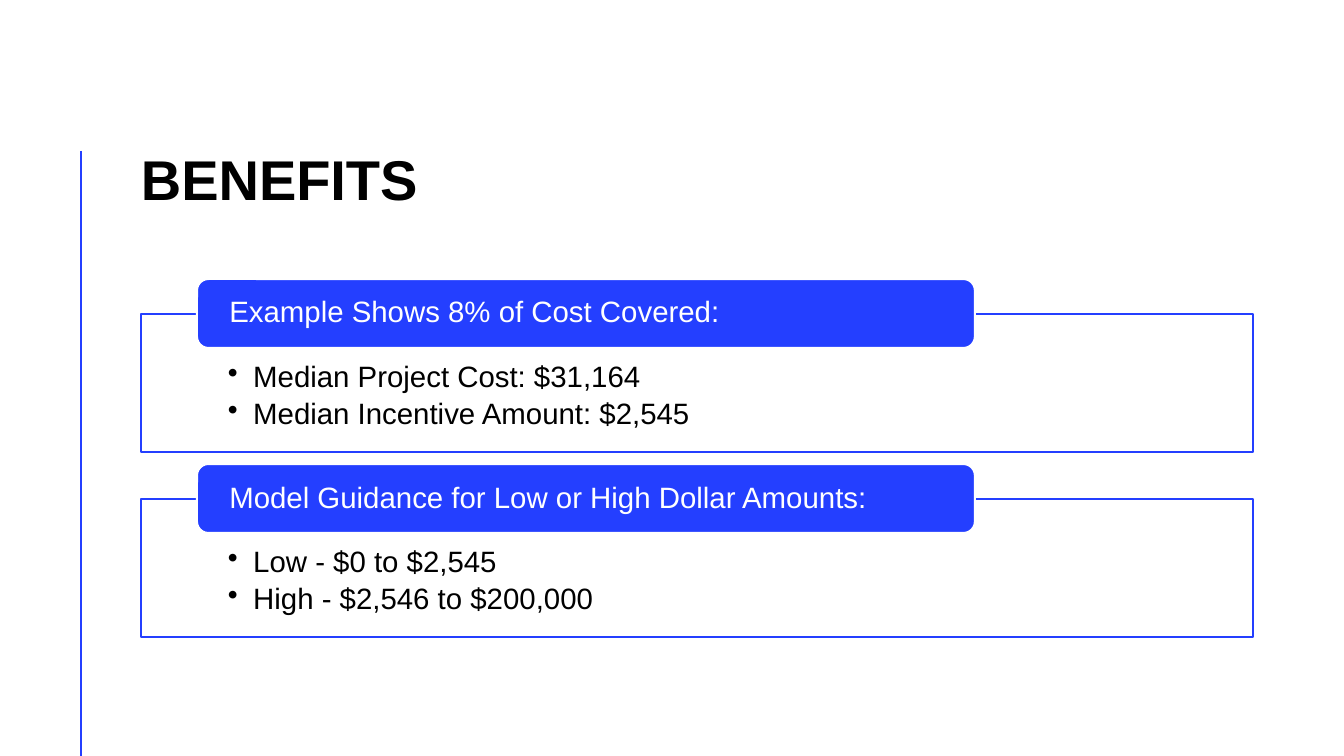
from lxml import etree
from pptx import Presentation
from pptx import util as u
from pptx.dml.color import RGBColor
from pptx.enum import shapes, text
from pptx.oxml import ns

SLIDE_WIDTH, SLIDE_HEIGHT = 1344, 756
EMU_PER_PX = 12192000 / SLIDE_WIDTH
BLUE, WHITE, BLACK = "243FFF", "FFFFFF", "000000"
LEFT, WIDTH = 141, 1112
FIRST_TOP, SECTION_PITCH = 314, 185

SECTIONS = [
    ("Example Shows 8% of Cost Covered:",
     ["Median Project Cost: $31,164", "Median Incentive Amount: $2,545"]),
    ("Model Guidance for Low or High Dollar Amounts:",
     ["Low - $0 to $2,545", "High - $2,546 to $200,000"]),
]


def px(*lengths):
    """Turn pixel lengths into EMU."""
    return [u.Emu(round(length * EMU_PER_PX)) for length in lengths]


def write(shape, lines, margins, anchor, size, color, spacing, bold=False, bullets=False):
    frame = shape.text_frame
    sides = ("margin_left", "margin_top", "margin_right", "margin_bottom")
    settings = dict(zip(sides, px(*margins)), word_wrap=True, vertical_anchor=anchor)
    for name, value in settings.items():
        setattr(frame, name, value)
    for number, line in enumerate(lines):
        para = frame.add_paragraph() if number else frame.paragraphs[0]
        para.alignment = text.PP_ALIGN.LEFT
        para.line_spacing = spacing
        if bullets:
            para.space_after = u.Pt(4)
            properties = para._p.get_or_add_pPr()
            properties.set("marL", str(u.Inches(0.25)))
            properties.set("indent", str(-u.Inches(0.25)))
            etree.SubElement(properties, ns.qn("a:buChar"), char="•")
        span = para.add_run()
        span.text = line
        for name, value in {"name": "Arial", "size": u.Pt(size), "bold": bold}.items():
            setattr(span.font, name, value)
        span.font.color.rgb = RGBColor.from_string(color)


deck = Presentation()
deck.slide_width, deck.slide_height = px(SLIDE_WIDTH, SLIDE_HEIGHT)
page = deck.slides.add_slide(deck.slide_layouts[6])

rule = page.shapes.add_connector(
    shapes.MSO_CONNECTOR.STRAIGHT, *px(81, 151, 81, SLIDE_HEIGHT))
rule.line.color.rgb = RGBColor.from_string(BLUE)
rule.line.width = u.Pt(2)
etree.SubElement(rule._element.spPr, ns.qn("a:effectLst"))

title = page.shapes.add_textbox(*px(LEFT, 71, WIDTH, 141))
write(title, ["BENEFITS"], (0, 0, 0, 0), text.MSO_ANCHOR.BOTTOM, 40, BLACK,
      u.Pt(40), bold=True)

for index, (heading, points) in enumerate(SECTIONS):
    top = FIRST_TOP + index * SECTION_PITCH
    panel = page.shapes.add_shape(
        shapes.MSO_SHAPE.RECTANGLE, *px(LEFT, top, WIDTH, 138))
    tab = page.shapes.add_shape(
        shapes.MSO_SHAPE.ROUNDED_RECTANGLE, *px(197, top - 35, 778, 69))
    for shape, fill, line, weight in ((panel, WHITE, BLUE, 1), (tab, BLUE, WHITE, 1.5)):
        shape.shadow.inherit = False
        shape.fill.solid()
        shape.fill.fore_color.rgb = RGBColor.from_string(fill)
        shape.line.color.rgb = RGBColor.from_string(line)
        shape.line.width = u.Pt(weight)
    write(panel, points, (87, 48, 87, 16), text.MSO_ANCHOR.TOP, 21, BLACK, 0.9,
          bullets=True)
    write(tab, [heading], (29, 0, 29, 0), text.MSO_ANCHOR.MIDDLE, 21, WHITE, 0.9)

deck.save("out.pptx")
